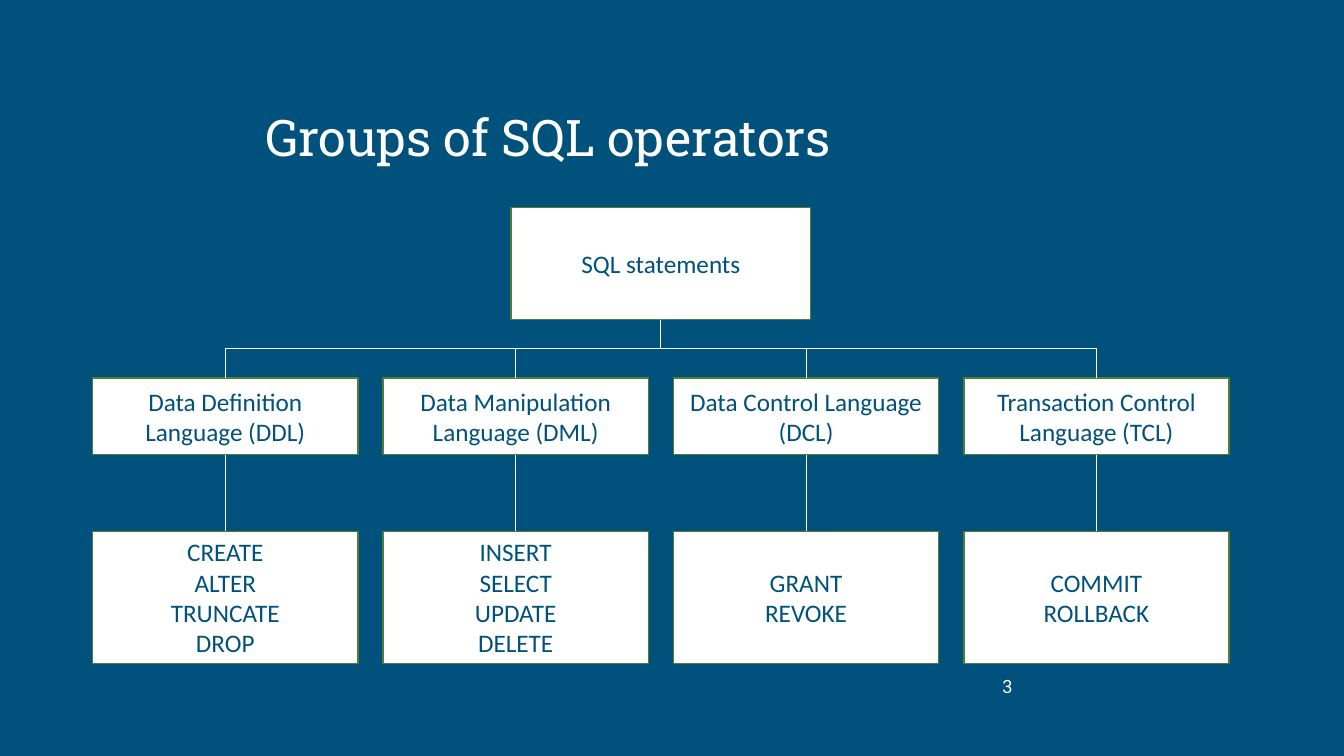
"""Build a slide that charts the groups of SQL operators."""
import dataclasses
import typing

import lxml.etree
import pptx
import pptx.dml.color
import pptx.enum.shapes
import pptx.enum.text
import pptx.oxml.ns
import pptx.util

Inches = pptx.util.Inches
Pt = pptx.util.Pt
Align = pptx.enum.text.PP_ALIGN
Kind = pptx.enum.shapes.MSO_CONNECTOR


@dataclasses.dataclass(frozen=True)
class Theme:
    """Colours, fonts and type sizes of the slide."""
    back: str = "00517C"
    white: str = "FFFFFF"
    edge: str = "517E33"
    head: str = "Roboto Slab"
    foot: str = "Roboto"
    body: str = "Calibri"
    big: float = 36
    mid: float = 18
    small: float = 13
    thin: float = 0.75
    thick: float = 1


@dataclasses.dataclass(frozen=True)
class Box:
    """A rectangle in inches."""
    left: float
    top: float
    width: float
    height: float


@dataclasses.dataclass(frozen=True)
class Group:
    """A group of SQL statements."""
    name: str
    words: tuple[str, ...]
    stem: float


THEME = Theme()
ROOT = Box(5.07, 2.06, 2.97, 1.11)
FIRST = Box(0.92, 3.75, 2.63, 0.76)
LIST = Box(0.92, 5.27, 2.63, 1.31)
PITCH = 2.88
BOTTOM, TOP = 2, 0
GROUPS = (
    Group("Data Definition Language (DDL)",
          ("CREATE", "ALTER", "TRUNCATE", "DROP"), THEME.thick),
    Group("Data Manipulation Language (DML)",
          ("INSERT", "SELECT", "UPDATE", "DELETE"), THEME.thin),
    Group("Data Control Language (DCL)", ("GRANT", "REVOKE"), THEME.thin),
    Group("Transaction Control Language (TCL)",
          ("COMMIT", "ROLLBACK"), THEME.thin),
)


def color(code: str) -> pptx.dml.color.RGBColor:
    """Turn a hex code into a colour."""
    return pptx.dml.color.RGBColor.from_string(code)


def place(box: Box) -> tuple[int, ...]:
    """Give the four lengths of a box."""
    return tuple(Inches(part) for part in dataclasses.astuple(box))


def write(shape: typing.Any, text: str, *, font: str = THEME.body,
          size: float = THEME.mid, ink: str = THEME.back,
          align: Align = Align.CENTER, space: float | None = None) -> None:
    """Write text into a shape, one paragraph a line."""
    frame = shape.text_frame
    frame.word_wrap = True
    frame.vertical_anchor = pptx.enum.text.MSO_ANCHOR.MIDDLE
    frame.text = text
    for para in frame.paragraphs:
        para.alignment = align
        para.line_spacing = space
        for run in para.runs:
            run.font.name = font
            run.font.size = Pt(size)
            run.font.color.rgb = color(ink)


def panel(slide: typing.Any, box: Box, text: str) -> typing.Any:
    """Draw a white box with text."""
    shape = slide.shapes.add_shape(
        pptx.enum.shapes.MSO_SHAPE.RECTANGLE, *place(box))
    shape.shadow.inherit = False
    shape.fill.solid()
    shape.fill.fore_color.rgb = color(THEME.white)
    shape.line.color.rgb = color(THEME.edge)
    shape.line.width = Pt(THEME.thick)
    write(shape, text)
    return shape


def join(slide: typing.Any, kind: Kind, start: typing.Any, end: typing.Any,
         width: float) -> typing.Any:
    """Link the bottom of one shape to the top of another."""
    link = slide.shapes.add_connector(kind, 0, 0, 0, 0)
    link.begin_connect(start, BOTTOM)
    link.end_connect(end, TOP)
    link.line.color.rgb = color(THEME.white)
    link.line.width = Pt(width)
    lxml.etree.SubElement(
        link._element.spPr, pptx.oxml.ns.qn("a:effectLst"))
    return link


def branch(slide: typing.Any, start: typing.Any, end: typing.Any) -> None:
    """Link two shapes with an elbow that leaves downward."""
    link = join(slide, Kind.ELBOW, start, end, THEME.thin)
    left, right = sorted((link.begin_x, link.end_x))
    drop, run = link.end_y - link.begin_y, right - left
    west = link.end_x < link.begin_x
    mid = (link.begin_y + link.end_y) // 2
    link.left, link.top = (left + right - drop) // 2, mid - run // 2
    link.width, link.height = drop, run
    xfrm = link._element.spPr.find(pptx.oxml.ns.qn("a:xfrm"))
    xfrm.set("rot", str((90 if west else 270) * 60000))
    xfrm.set("flipH", "0" if west else "1")
    xfrm.set("flipV", "0")


def main() -> None:
    """Build and save the slide."""
    deck = pptx.Presentation()
    deck.slide_width, deck.slide_height = Inches(13.33), Inches(7.5)
    slide = deck.slides.add_slide(deck.slide_layouts[6])
    slide.background.fill.solid()
    slide.background.fill.fore_color.rgb = color(THEME.back)

    title = slide.shapes.add_textbox(*place(Box(0.74, 0.67, 9.4, 1.44)))
    write(title, "Groups of SQL operators", font=THEME.head,
          size=THEME.big, ink=THEME.white, space=0.9)
    page = slide.shapes.add_textbox(*place(Box(9.39, 6.61, 0.75, 0.4)))
    write(page, "3", font=THEME.foot, size=THEME.small, ink=THEME.white,
          align=Align.RIGHT)

    root = panel(slide, ROOT, "SQL statements")
    for col, group in enumerate(GROUPS):
        left = FIRST.left + col * PITCH
        name = panel(slide, dataclasses.replace(FIRST, left=left), group.name)
        words = panel(slide, dataclasses.replace(LIST, left=left),
                      "\n".join(group.words))
        branch(slide, root, name)
        join(slide, Kind.STRAIGHT, name, words, group.stem)

    deck.save("out.pptx")


if __name__ == "__main__":
    main()
